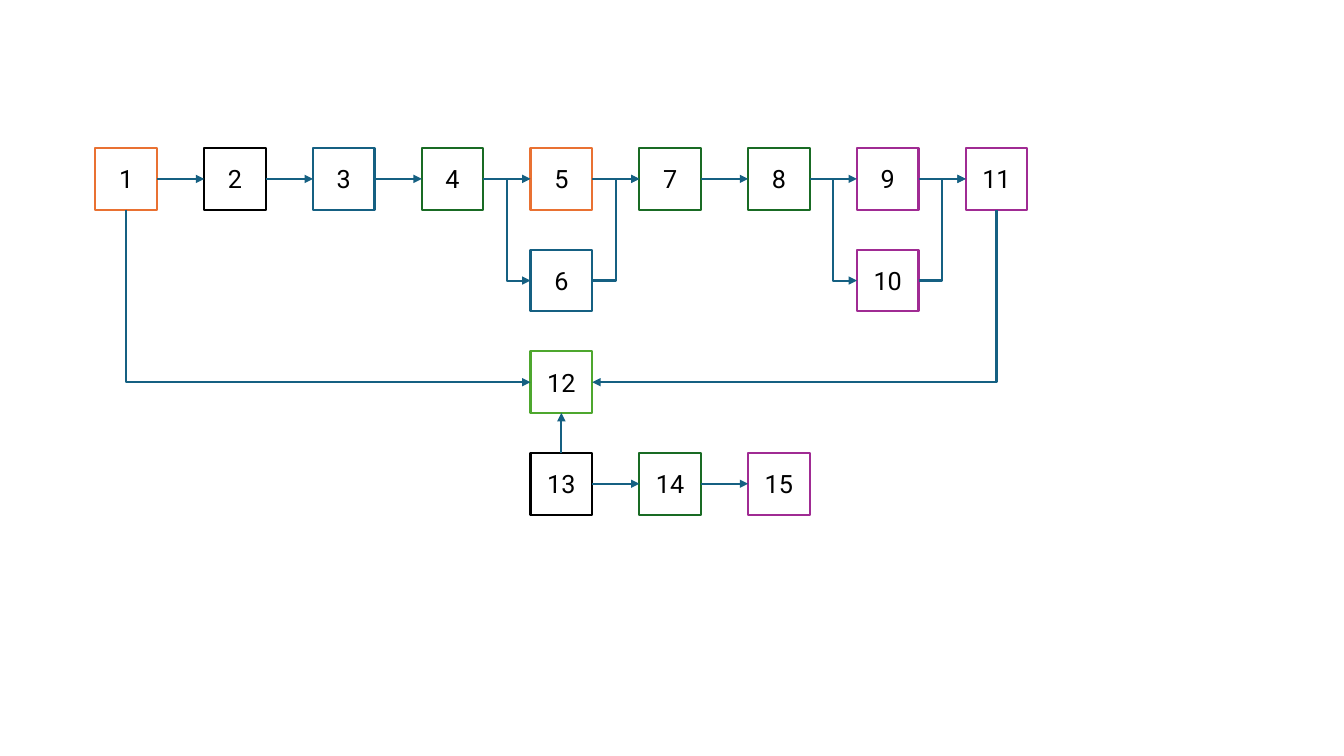
"""Draw a flow of fifteen numbered steps on one slide."""
import pptx
import pptx.dml.color
import pptx.enum.shapes
import pptx.enum.text
import pptx.oxml
import pptx.oxml.ns
import pptx.util

Pt = pptx.util.Pt
RGBColor = pptx.dml.color.RGBColor
qn = pptx.oxml.ns.qn
KINDS = pptx.enum.shapes.MSO_CONNECTOR

WHITE = RGBColor(0xFF, 0xFF, 0xFF)
BLACK = RGBColor(0x00, 0x00, 0x00)
ORANGE = RGBColor(0xE9, 0x71, 0x32)
BLUE = RGBColor(0x15, 0x60, 0x82)
GREEN = RGBColor(0x19, 0x6B, 0x24)
PURPLE = RGBColor(0xA0, 0x2B, 0x93)
LIME = RGBColor(0x4E, 0xA7, 0x2E)

TOP, LEFT, BOTTOM, RIGHT = range(4)


def write(shape, text, *, font, size, color):
    frame = shape.text_frame
    frame.vertical_anchor = pptx.enum.text.MSO_ANCHOR.MIDDLE
    paragraph = frame.paragraphs[0]
    paragraph.alignment = pptx.enum.text.PP_ALIGN.CENTER
    run = paragraph.add_run()
    run.text = text
    run.font.name = font
    run.font.size = Pt(size)
    run.font.color.rgb = color


class FlowSlide:
    font, text_size, line_width = "Roboto", 18, 1.5
    origin_x, origin_y = 68.2, 105.8
    column_pitch, row_pitch, side = 77.7, 72.6, 44

    def __init__(self, slide):
        self.slide = slide

    def step(self, number, column, row, color):
        box = self.slide.shapes.add_shape(
            pptx.enum.shapes.MSO_SHAPE.RECTANGLE,
            Pt(self.origin_x + column * self.column_pitch),
            Pt(self.origin_y + row * self.row_pitch),
            Pt(self.side), Pt(self.side))
        box.shadow.inherit = False
        box.fill.solid()
        box.fill.fore_color.rgb = WHITE
        box.line.color.rgb = color
        box.line.width = Pt(self.line_width)
        write(box, str(number), font=self.font, size=self.text_size, color=BLACK)
        return box

    def arrow(self, source, target, start=RIGHT, finish=LEFT, kind=KINDS.STRAIGHT):
        link = self.slide.shapes.add_connector(kind, 0, 0, 0, 0)
        link.begin_connect(source, start)
        link.end_connect(target, finish)
        link.line.color.rgb = BLUE
        link.line.width = Pt(self.line_width)
        properties = link._element.spPr
        head = pptx.oxml.ns.nsdecls("a")
        properties.find(qn("a:ln")).append(
            pptx.oxml.parse_xml(f'<a:tailEnd {head} type="triangle"/>'))
        properties.append(pptx.oxml.parse_xml(f"<a:effectLst {head}/>"))
        return link

    def corner_arrow(self, source, target, finish):
        link = self.arrow(source, target, BOTTOM, finish, KINDS.ELBOW)
        center_x = (link.begin_x + link.end_x) // 2
        center_y = (link.begin_y + link.end_y) // 2
        link.width, link.height = link.height, link.width
        link.left = center_x - link.width // 2
        link.top = center_y - link.height // 2
        properties = link._element.spPr
        properties.find(qn("a:prstGeom")).set("prst", "bentConnector2")
        frame = properties.find(qn("a:xfrm"))
        frame.set("rot", str((270 if finish == LEFT else 90) * 60000))
        frame.set("flipH", "1" if finish == LEFT else "0")


def main():
    deck = pptx.Presentation()
    deck.slide_width, deck.slide_height = Pt(960), Pt(540)
    flow = FlowSlide(deck.slides.add_slide(deck.slide_layouts[6]))

    layout = [
        (1, 0, 0, ORANGE), (2, 1, 0, BLACK), (3, 2, 0, BLUE),
        (4, 3, 0, GREEN), (5, 4, 0, ORANGE), (6, 4, 1, BLUE),
        (7, 5, 0, GREEN), (8, 6, 0, GREEN), (9, 7, 0, PURPLE),
        (10, 7, 1, PURPLE), (11, 8, 0, PURPLE), (12, 4, 2, LIME),
        (13, 4, 3, BLACK), (14, 5, 3, GREEN), (15, 6, 3, PURPLE),
    ]
    steps = {number: flow.step(number, column, row, color)
             for number, column, row, color in layout}

    for chain in [(1, 2, 3, 4, 5, 7, 8, 9, 11), (13, 14, 15)]:
        for source, target in zip(chain, chain[1:]):
            flow.arrow(steps[source], steps[target])
    for source, target in [(4, 6), (8, 10), (10, 11), (6, 7)]:
        flow.arrow(steps[source], steps[target], kind=KINDS.ELBOW)
    flow.corner_arrow(steps[1], steps[12], LEFT)
    flow.corner_arrow(steps[11], steps[12], RIGHT)
    flow.arrow(steps[13], steps[12], TOP, BOTTOM)

    deck.save("out.pptx")


if __name__ == "__main__":
    main()
